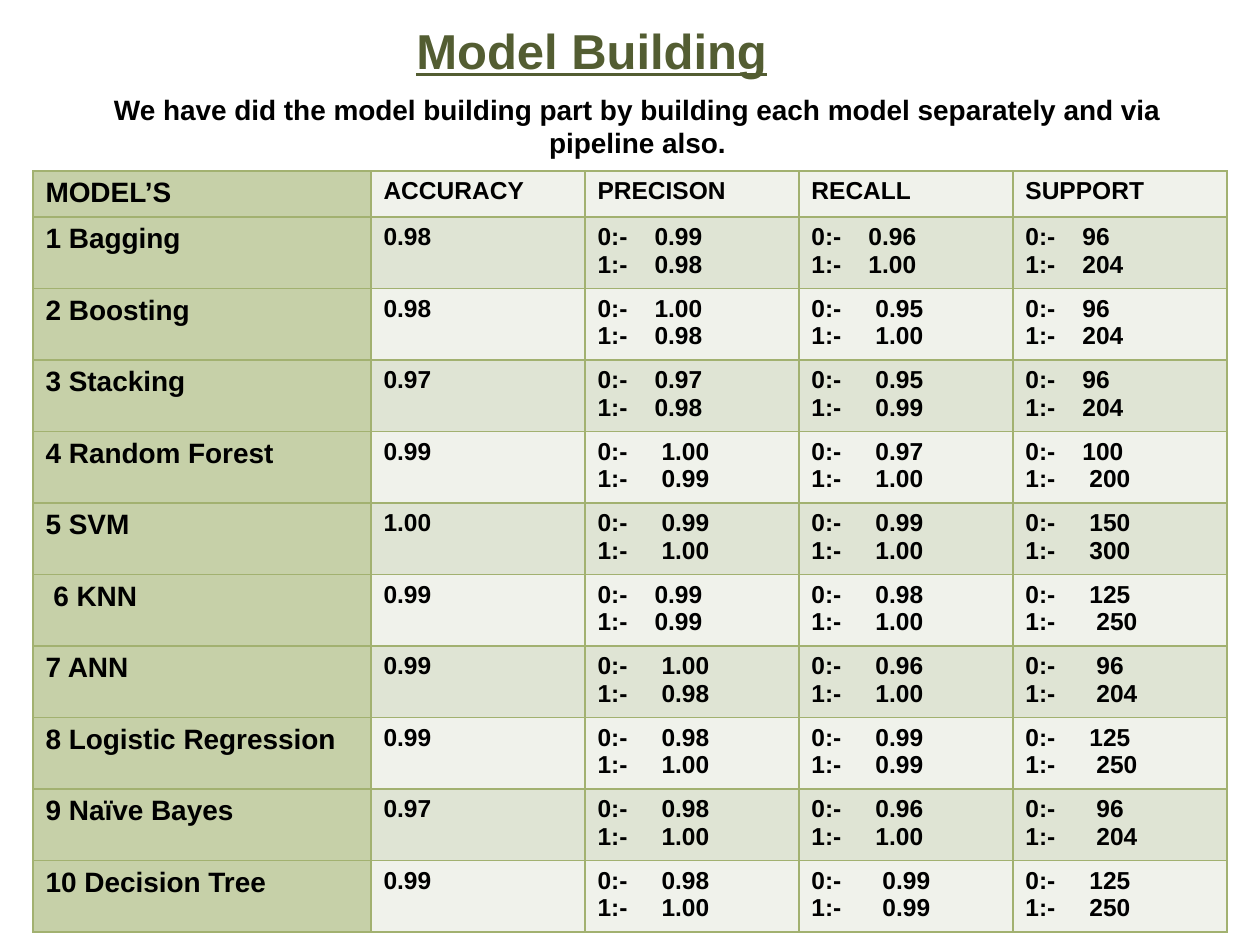
from lxml.etree import SubElement
from pptx import Presentation
from pptx.dml.color import RGBColor
from pptx.enum.text import PP_ALIGN as Align
from pptx.oxml.ns import qn
from pptx.util import Pt

TITLE = "Model Building"
INTRO = ("We have did the model building part by building each model "
         "separately and via pipeline also.")
HEADINGS = ["MODEL’S", "ACCURACY", "PRECISON", "RECALL", "SUPPORT"]
CLASSES = ["0:-", "1:-"]
# model, accuracy, then (value of class 0, value of class 1) per measure
MODELS = [
    ("1 Bagging", "0.98", ("0.99", "0.98"), ("0.96", "1.00"), ("96", "204")),
    ("2 Boosting", "0.98", ("1.00", "0.98"), ("0.95", "1.00"), ("96", "204")),
    ("3 Stacking", "0.97", ("0.97", "0.98"), ("0.95", "0.99"), ("96", "204")),
    ("4 Random Forest", "0.99", ("1.00", "0.99"), ("0.97", "1.00"), ("100", "200")),
    ("5 SVM", "1.00", ("0.99", "1.00"), ("0.99", "1.00"), ("150", "300")),
    (" 6 KNN", "0.99", ("0.99", "0.99"), ("0.98", "1.00"), ("125", "250")),
    ("7 ANN", "0.99", ("1.00", "0.98"), ("0.96", "1.00"), ("96", "204")),
    ("8 Logistic Regression", "0.99", ("0.98", "1.00"), ("0.99", "0.99"), ("125", "250")),
    ("9 Naïve Bayes", "0.97", ("0.98", "1.00"), ("0.96", "1.00"), ("96", "204")),
    ("10 Decision Tree", "0.99", ("0.98", "1.00"), ("0.99", "0.99"), ("125", "250")),
]
INDENT_STEPS = [
    ((0, 0), (0, 0), (0, 0)),
    ((0, 0), (1, 1), (0, 0)),
    ((0, 0), (1, 1), (0, 0)),
    ((1, 1), (1, 1), (0, 1)),
    ((1, 1), (1, 1), (1, 1)),
    ((0, 0), (1, 1), (1, 2)),
    ((1, 1), (1, 1), (2, 2)),
    ((1, 1), (1, 1), (1, 2)),
    ((1, 1), (1, 1), (2, 2)),
    ((1, 1), (2, 2), (1, 1)),
]

PX = 914400 // 126
FIRST_STOP, STOP_STEP = 57, 7
TABLE_LEFT, TABLE_TOP = 33, 171
COLUMN_WIDTHS = [338, 214, 214, 214, 214]
HEADING_HEIGHT, BODY_HEIGHT = 46, 715
OLIVE, BLACK, BORDER = "535D32", "000000", "A2B170"
MODEL_FILL, BANDS = "C6D0A8", ("F0F2EB", "DFE4D4")


def px(length):
    """Turn px into EMU."""
    return length * PX


def color(hex_value):
    """Turn a hex string into a colour."""
    return RGBColor.from_string(hex_value)


def add_words(paragraph, words, size, ink=BLACK, underline=None):
    """Add one bold run."""
    run = paragraph.add_run()
    run.text = words
    run.font.name, run.font.size, run.font.bold = "Arial", Pt(size), True
    run.font.underline = underline
    run.font.color.rgb = color(ink)


def add_caption(slide, box, words, align, *style):
    """Add a text box with one paragraph."""
    frame = slide.shapes.add_textbox(*map(px, box)).text_frame
    frame.word_wrap = True
    frame.paragraphs[0].alignment = align
    add_words(frame.paragraphs[0], words, *style)


def set_stop(paragraph, position):
    """Give a paragraph one left tab stop."""
    stops = SubElement(paragraph._p.get_or_add_pPr(), qn("a:tabLst"))
    SubElement(stops, qn("a:tab"), pos=str(px(position)), algn="l")


def paint(cell, fill):
    """Set the borders and the fill of a cell."""
    properties = cell._tc.get_or_add_tcPr()
    for side in ("lnL", "lnR", "lnT", "lnB"):
        line = SubElement(properties, qn(f"a:{side}"), w=str(Pt(1)))
        solid = SubElement(line, qn("a:solidFill"))
        SubElement(solid, qn("a:srgbClr"), val=BORDER)
    cell.fill.solid()
    cell.fill.fore_color.rgb = color(fill)


def fill_scores(frame, values, steps):
    """Write one line per class, with its value at a tab stop."""
    for index, (label, value, step) in enumerate(zip(CLASSES, values, steps)):
        paragraph = frame.add_paragraph() if index else frame.paragraphs[0]
        set_stop(paragraph, FIRST_STOP + step * STOP_STEP)
        add_words(paragraph, f"{label}\t{value}", 14)


def add_scores_table(slide):
    """Add the table of models and their scores."""
    rows = [HEADINGS, *MODELS]
    table = slide.shapes.add_table(
        len(rows), len(HEADINGS), px(TABLE_LEFT), px(TABLE_TOP),
        px(sum(COLUMN_WIDTHS)), px(HEADING_HEIGHT + BODY_HEIGHT)).table
    for column, width in zip(table.columns, COLUMN_WIDTHS):
        column.width = px(width)
    for r, row in enumerate(rows):
        table.rows[r].height = px(BODY_HEIGHT) // len(MODELS) if r else px(HEADING_HEIGHT)
        for c, content in enumerate(row):
            cell = table.cell(r, c)
            paint(cell, BANDS[r % 2] if c else MODEL_FILL)
            if isinstance(content, tuple):
                fill_scores(cell.text_frame, content, INDENT_STEPS[r - 1][c - 2])
            else:
                add_words(cell.text_frame.paragraphs[0], content, 14 if c else 16)


def main():
    """Build the slide and save it."""
    deck = Presentation()
    deck.slide_width, deck.slide_height = px(1260), px(945)
    slide = deck.slides.add_slide(deck.slide_layouts[6])
    add_caption(slide, (404, 14, 451, 72), TITLE, Align.LEFT, 28, OLIVE, True)
    add_caption(slide, (48, 86, 1179, 81), INTRO, Align.CENTER, 16)
    add_scores_table(slide)
    deck.save("out.pptx")


if __name__ == "__main__":
    main()
